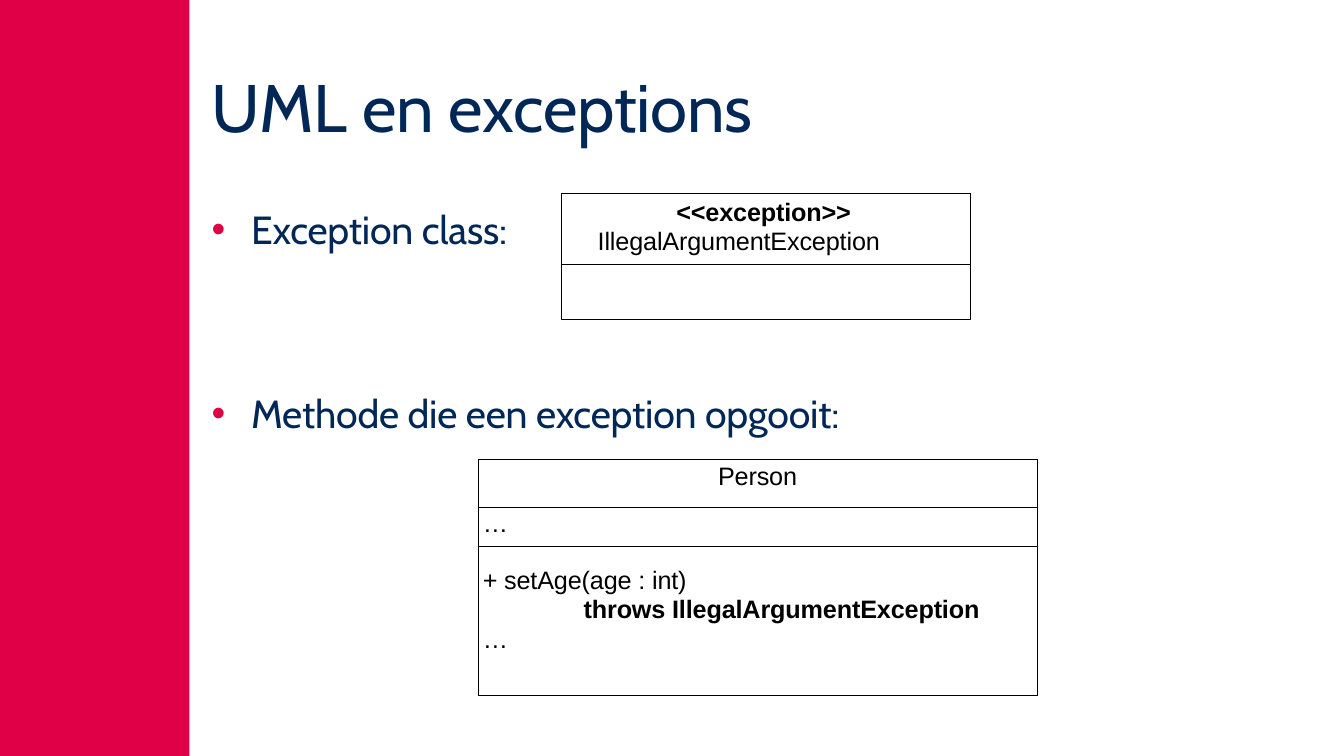
from lxml import etree
from pptx import Presentation
from pptx.dml.color import RGBColor
from pptx.enum.shapes import MSO_SHAPE
from pptx.enum.text import MSO_ANCHOR, PP_ALIGN
from pptx.oxml.ns import qn
from pptx.util import Inches, Pt

RECTANGLE = MSO_SHAPE.RECTANGLE
TOP = MSO_ANCHOR.TOP
LEFT = PP_ALIGN.LEFT
CENTER = PP_ALIGN.CENTER

CRIMSON = RGBColor(0xDF, 0x00, 0x48)
NAVY = RGBColor(0x00, 0x27, 0x56)
BLACK = RGBColor(0x00, 0x00, 0x00)

COLUMNS, ROWS = 160, 90
CELL = Inches(1 / 12)
HAIRLINE = Pt(0.25)

TITLE = {"name": "Cabin", "size": Pt(48), "color": NAVY}
BULLET = {"name": "Cabin", "size": Pt(28), "color": NAVY}
UML = {"name": "Arial", "size": Pt(18), "color": BLACK, "bold": False}
UML_BOLD = {**UML, "bold": True}


def grid(*counts):
    return [round(count * CELL) for count in counts]


def apply(target, values):
    for key, value in values.items():
        setattr(target, key, value)


def add_xml(parent, tag, **attributes):
    return etree.SubElement(parent, qn(tag), attributes)


def line(text, style, indent=0, hanging=0, **spacing):
    return text, style, indent, hanging, {"alignment": LEFT, **spacing}


class UmlSlide:
    def __init__(self, deck):
        self.slide = deck.slides.add_slide(deck.slide_layouts[6])
        self.shapes = self.slide.shapes

    def set_lines(self, frame, lines):
        for index, (text, style, indent, hanging, spacing) in enumerate(lines):
            paragraph = frame.add_paragraph() if index else frame.paragraphs[0]
            apply(paragraph, spacing)
            margin, first = grid(indent, hanging)
            properties = paragraph._p.get_or_add_pPr()
            properties.set("marL", str(margin))
            properties.set("indent", str(first))
            if hanging:
                color = add_xml(properties, "a:buClr")
                add_xml(color, "a:srgbClr", val=str(CRIMSON))
                add_xml(properties, "a:buFont", typeface="Arial")
                add_xml(properties, "a:buChar", char="•")
            run = paragraph.add_run()
            run.text = text
            font = dict(style)
            run.font.color.rgb = font.pop("color")
            apply(run.font, font)
            run._r.get_or_add_rPr().set("spc", "-10")

    def fill_frame(self, frame, lines, inset):
        apply(frame, {"margin_left": 0, "margin_right": 0, "margin_bottom": 0,
                      "margin_top": Inches(inset), "word_wrap": True,
                      "vertical_anchor": TOP})
        self.set_lines(frame, lines)

    def text(self, place, *lines):
        box = self.shapes.add_textbox(*grid(*place))
        self.fill_frame(box.text_frame, lines, 0.01)

    def bullet(self, place, text):
        self.text(place, line(text, BULLET, 4.8, -4.68, space_before=Pt(0.9)))

    def box(self, place, *lines, fill=None):
        shape = self.shapes.add_shape(RECTANGLE, *grid(*place))
        shape.shadow.inherit = False
        if fill is None:
            shape.fill.background()
            shape.line.color.rgb = BLACK
            shape.line.width = HAIRLINE
        else:
            shape.fill.solid()
            shape.fill.fore_color.rgb = fill
            shape.line.fill.background()
        if lines:
            self.fill_frame(shape.text_frame, lines, 0.03)

    def class_table(self, left, top, width, compartments):
        height = sum(rows for rows, _, _ in compartments)
        table = self.shapes.add_table(
            len(compartments), 1, *grid(left, top, width, height)).table
        apply(table, {"first_row": False, "horz_banding": False})
        for index, (rows, inset, lines) in enumerate(compartments):
            table.rows[index].height = grid(rows)[0]
            cell = table.cell(index, 0)
            apply(cell, {"margin_left": 0, "margin_right": 0, "margin_bottom": 0,
                         "margin_top": Inches(inset), "vertical_anchor": TOP})
            properties = cell._tc.get_or_add_tcPr()
            for side in ("L", "R", "T", "B"):
                border = add_xml(properties, f"a:ln{side}", w=str(HAIRLINE))
                paint = add_xml(border, "a:solidFill")
                add_xml(paint, "a:srgbClr", val=str(BLACK))
            cell.fill.background()
            self.set_lines(cell.text_frame, lines)


def main():
    deck = Presentation()
    deck.slide_width, deck.slide_height = grid(COLUMNS, ROWS)
    page = UmlSlide(deck)

    page.box((0, 0, 22.56, ROWS), fill=CRIMSON)
    page.box((66.84, 23.04, 48.72, 15))
    page.box(
        (66.84, 23.04, 48.72, 8.4),
        line("<<exception>>", UML_BOLD, 13.68,
             line_spacing=Pt(21.1), space_before=Pt(2.3)),
        line("IllegalArgumentException", UML, 4.32, line_spacing=Pt(21.1)))

    page.class_table(56.88, 54.72, 66.6, [
        (5.64, 0.03, [line("Person", UML, alignment=CENTER, space_before=Pt(2.3))]),
        (4.68, 0.03, [line("…", UML, 0.6, space_before=Pt(2.3))]),
        (17.76, 0.19, [
            line("+ setAge(age : int)", UML, 0.6,
                 line_spacing=Pt(21.1), space_before=Pt(13.6)),
            line("throws IllegalArgumentException", UML_BOLD, 12.6,
                 line_spacing=Pt(20.7)),
            line("…", UML, 0.6, line_spacing=Pt(21.2))]),
    ])

    page.text((25.08, 7.68, 66.72, 9.96),
              line("UML en exceptions", TITLE, 0.12, space_before=Pt(1)))
    page.bullet((25.08, 24.36, 37.8, 5.88), "Exception class:")
    page.bullet((25.08, 46.2, 78.96, 5.88), "Methode die een exception opgooit:")
    deck.save("out.pptx")


if __name__ == "__main__":
    main()
